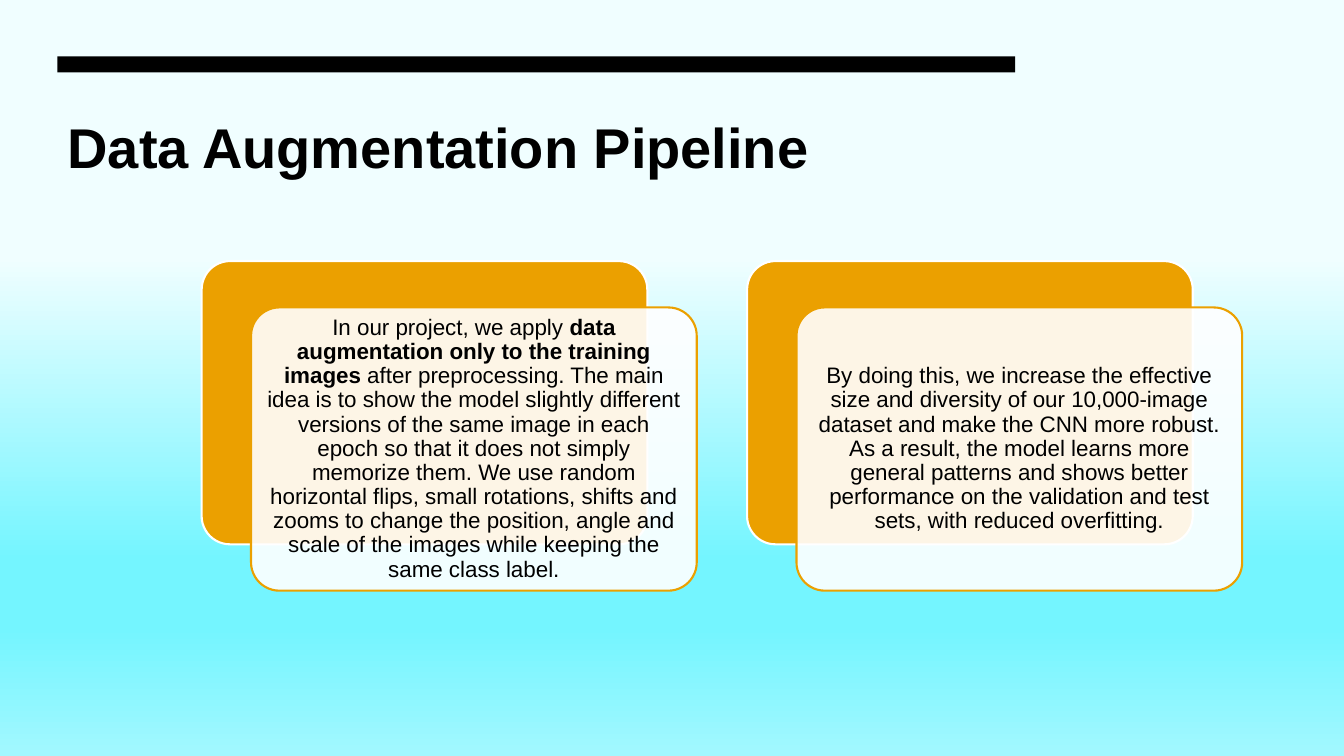
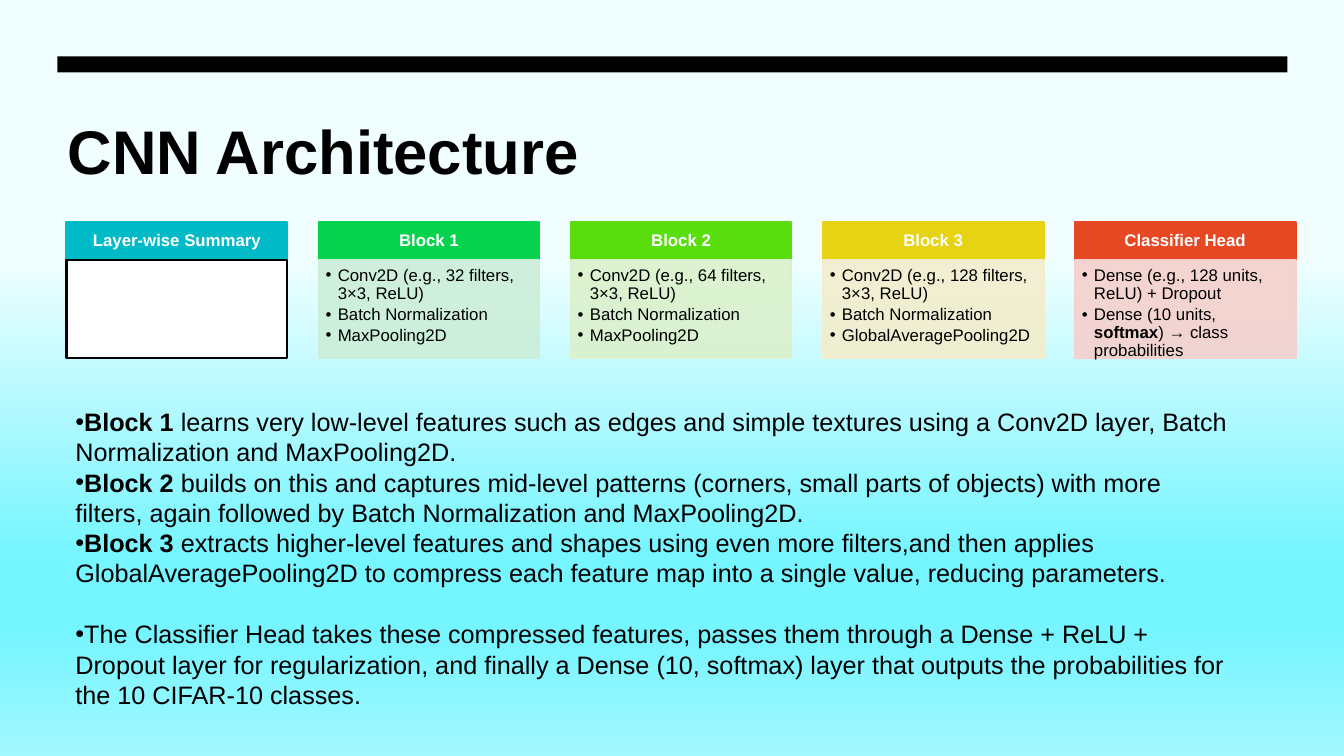
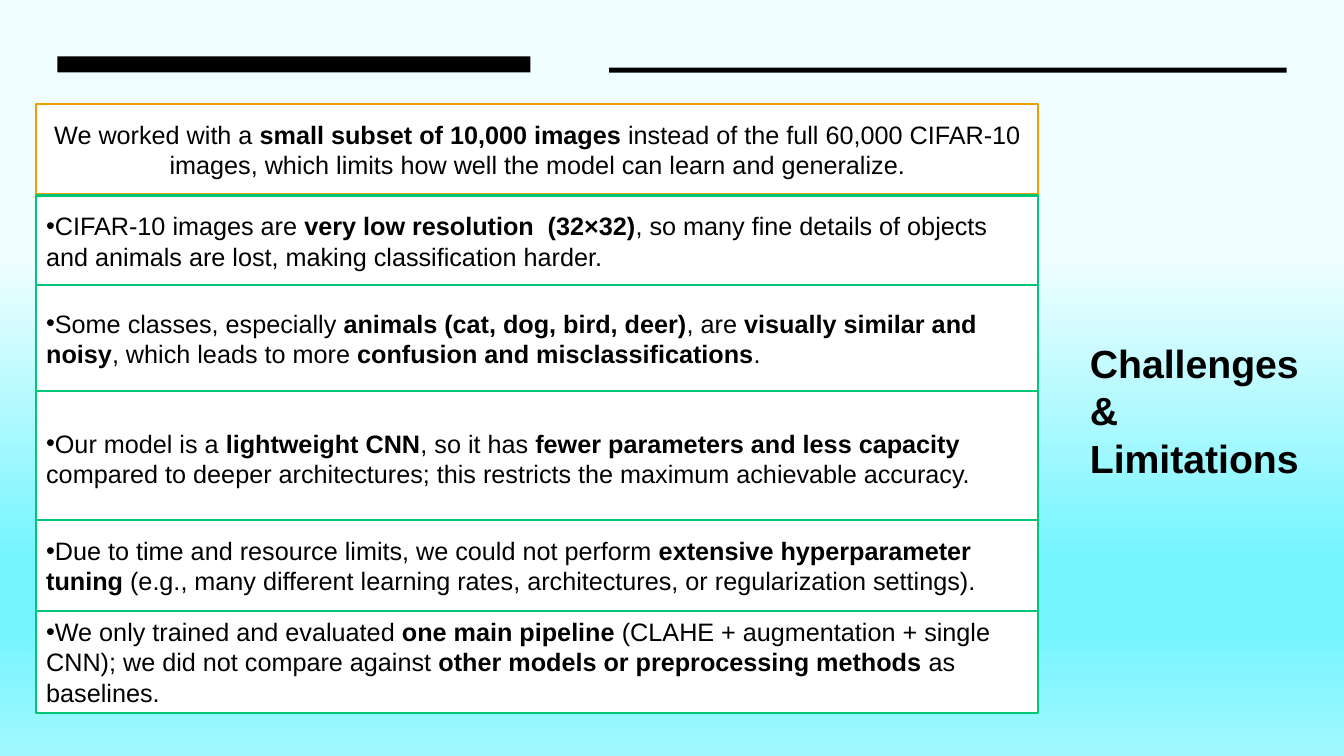
from lxml.etree import SubElement
from pptx import Presentation
from pptx.dml.color import RGBColor
from pptx.enum.shapes import MSO_SHAPE as Shape
from pptx.enum.text import MSO_ANCHOR as Anchor, MSO_AUTO_SIZE as AutoSize, PP_ALIGN as Align
from pptx.oxml.ns import qn
from pptx.util import Inches, Pt

BLACK = RGBColor(0x00, 0x00, 0x00)
WHITE = RGBColor(0xFF, 0xFF, 0xFF)
ORANGE = RGBColor(0xEB, 0xA0, 0x00)
GREEN = RGBColor(0x00, 0xC7, 0x77)
CYAN = RGBColor(0x00, 0xBA, 0xC8)
EMERALD = RGBColor(0x06, 0xD3, 0x4D)
LIME = RGBColor(0x59, 0xDD, 0x0C)
YELLOW = RGBColor(0xE6, 0xD3, 0x13)
RED = RGBColor(0xE6, 0x48, 0x23)
PALE_EMERALD = RGBColor(0xCC, 0xEE, 0xD9)
PALE_LIME = RGBColor(0xDB, 0xF1, 0xCC)
PALE_YELLOW = RGBColor(0xF3, 0xED, 0xCD)
PALE_RED = RGBColor(0xF5, 0xD0, 0xCD)
BACKGROUND_STOPS = [
    (34, RGBColor(0xF0, 0xFE, 0xFF)),
    (74, RGBColor(0x74, 0xF5, 0xFF)),
    (83, RGBColor(0x74, 0xF5, 0xFF)),
    (100, RGBColor(0xA2, 0xF8, 0xFF)),
]
FONT = "Arial"


def write_text(shape, texts, size=18, color=BLACK, bold=False, align=Align.LEFT,
               anchor=Anchor.MIDDLE, margins=(0.1, 0.05, 0.1, 0.05), spacing=1.0,
               after=0, bullet=False, indent=0):
    frame = shape.text_frame
    frame.word_wrap = True
    frame.auto_size = AutoSize.NONE
    frame.vertical_anchor = anchor
    frame.margin_left, frame.margin_top, frame.margin_right, frame.margin_bottom = map(Inches, margins)
    for index, text in enumerate(texts):
        paragraph = frame.add_paragraph() if index else frame.paragraphs[0]
        paragraph.alignment = align
        paragraph.line_spacing = spacing
        paragraph.space_after = Pt(after)
        for part, words in enumerate(text.split("**")):
            if words:
                run = paragraph.add_run()
                run.text = words
                run.font.name = FONT
                run.font.size = Pt(size)
                run.font.bold = bold or part % 2 == 1
                run.font.color.rgb = color
        if bullet:
            properties = paragraph._p.get_or_add_pPr()
            properties.set("marL", str(Inches(indent)))
            properties.set("indent", str(-Inches(indent)))
            SubElement(properties, qn("a:buFont"), typeface=FONT)
            SubElement(properties, qn("a:buChar"), char="•")


def add_box(slide, left, top, width, height, fill, line=None, kind=Shape.RECTANGLE, opacity=100):
    shape = slide.shapes.add_shape(kind, Inches(left), Inches(top), Inches(width), Inches(height))
    shape.shadow.inherit = False
    shape.fill.solid()
    shape.fill.fore_color.rgb = fill
    if opacity < 100:
        color = shape._element.spPr.find(qn("a:solidFill"))[0]
        SubElement(color, qn("a:alpha"), val=str(opacity * 1000))
    if line is None:
        shape.line.fill.background()
    else:
        shape.line.color.rgb = line
        shape.line.width = Pt(1.5)
    if kind == Shape.ROUNDED_RECTANGLE:
        shape.adjustments[0] = 0.1
    return shape


presentation = Presentation()
presentation.slide_width = Inches(13.33)
presentation.slide_height = Inches(7.5)

background_fill = presentation.slide_master.background.fill
background_fill.gradient()
background_fill.gradient_angle = 270
stop_list = background_fill.gradient_stops[0]._gs.getparent()
for stop in list(stop_list):
    stop_list.remove(stop)
for position, color in BACKGROUND_STOPS:
    stop = SubElement(stop_list, qn("a:gs"), pos=str(position * 1000))
    SubElement(stop, qn("a:srgbClr"), val=str(color))

slide_frames = [
    ("Data Augmentation Pipeline", 40, (0.57, 1.07, 9.5, 1.6), [(0.57, 0.56, 9.5, 0.16)]),
    ("CNN Architecture", 44, (0.57, 1.07, 12.2, 1.1), [(0.57, 0.56, 12.2, 0.16)]),
    ("Challenges & Limitations", 28, (10.71, 3.32, 2.59, 2),
     [(0.57, 0.56, 4.69, 0.16), (6.04, 0.67, 6.72, 0.05)]),
]
slides = []
for title_text, title_size, title_area, bars in slide_frames:
    slide = presentation.slides.add_slide(presentation.slide_layouts[5])
    title = slide.shapes.title
    title.left, title.top, title.width, title.height = map(Inches, title_area)
    write_text(title, [title_text], size=title_size, bold=True, anchor=Anchor.TOP)
    for bar in bars:
        add_box(slide, *bar, BLACK)
    slides.append(slide)
augmentation_slide, architecture_slide, challenges_slide = slides

augmentation_notes = [
    "In our project, we apply **data augmentation only to the training images** after preprocessing. "
    "The main idea is to show the model slightly different versions of the same image in each epoch "
    "so that it does not simply memorize them. We use random horizontal flips, small rotations, "
    "shifts and zooms to change the position, angle and scale of the images while keeping the same "
    "class label.",
    "By doing this, we increase the effective size and diversity of our 10,000-image dataset and make "
    "the CNN more robust. As a result, the model learns more general patterns and shows better "
    "performance on the validation and test sets, with reduced overfitting.",
]
for index, note in enumerate(augmentation_notes):
    left = 2 + 5.41 * index
    add_box(augmentation_slide, left, 2.59, 4.42, 2.81, ORANGE, WHITE, Shape.ROUNDED_RECTANGLE)
    card = add_box(augmentation_slide, left + 0.49, 3.05, 4.42, 2.81, WHITE, ORANGE,
                   Shape.ROUNDED_RECTANGLE, opacity=90)
    write_text(card, [note], size=16, align=Align.CENTER, margins=(0.07,) * 4, spacing=0.9)

layer_cards = [
    ("Layer-wise Summary", CYAN, WHITE, []),
    ("Block 1", EMERALD, PALE_EMERALD,
     ["Conv2D (e.g., 32 filters, 3×3, ReLU)", "Batch Normalization", "MaxPooling2D"]),
    ("Block 2", LIME, PALE_LIME,
     ["Conv2D (e.g., 64 filters, 3×3, ReLU)", "Batch Normalization", "MaxPooling2D"]),
    ("Block 3", YELLOW, PALE_YELLOW,
     ["Conv2D (e.g., 128 filters, 3×3, ReLU)", "Batch Normalization", "GlobalAveragePooling2D"]),
    ("Classifier Head", RED, PALE_RED,
     ["Dense (e.g., 128 units, ReLU) + Dropout",
      "Dense (10 units, **softmax**) → class probabilities"]),
]
for index, (heading, strong, pale, layers) in enumerate(layer_cards):
    left = 0.66 + 2.5 * index
    header = add_box(architecture_slide, left, 2.2, 2.19, 0.38, strong, strong)
    write_text(header, [heading], size=12, color=WHITE, bold=True, align=Align.CENTER, spacing=0.9)
    body = add_box(architecture_slide, left, 2.58, 2.19, 0.97, pale, pale if layers else BLACK,
                   opacity=90 if layers else 100)
    if layers:
        write_text(body, layers, size=12, anchor=Anchor.TOP, margins=(0.07, 0.07, 0.09, 0.1),
                   spacing=0.9, after=2, bullet=True, indent=0.12)

explanation = architecture_slide.shapes.add_textbox(Inches(0.65), Inches(3.97), Inches(11.67), Inches(3.13))
write_text(explanation, [
    "**Block 1 **learns very low-level features such as edges and simple textures using a Conv2D "
    "layer, Batch Normalization and MaxPooling2D.",
    "**Block 2 **builds on this and captures mid-level patterns (corners, small parts of objects) "
    "with more filters, again followed by Batch Normalization and MaxPooling2D.",
    "**Block 3 **extracts higher-level features and shapes using even more filters,and then applies "
    "GlobalAveragePooling2D to compress each feature map into a single value, reducing parameters.",
    "The Classifier Head takes these compressed features, passes them through a Dense + ReLU + "
    "Dropout layer for regularization, and finally a Dense (10, softmax) layer that outputs the "
    "probabilities for the 10 CIFAR-10 classes.",
], bullet=True)
explanation.text_frame.paragraphs[-1].space_before = Pt(22)

challenges = [
    (1.03, 0.9, "We worked with a **small subset of 10,000 images** instead of the full 60,000 "
     "CIFAR-10 images, which limits how well the model can learn and generalize."),
    (1.94, 0.9, "CIFAR-10 images are **very low resolution  (32×32)**, so many fine details of "
     "objects and animals are lost, making classification harder."),
    (2.83, 1.05, "Some classes, especially **animals (cat, dog, bird, deer)**, are **visually "
     "similar and noisy**, which leads to more **confusion and misclassifications**."),
    (3.88, 1.33, "Our model is a **lightweight CNN**, so it has **fewer parameters and less "
     "capacity** compared to deeper architectures; this restricts the maximum achievable accuracy."),
    (5.16, 0.9, "Due to time and resource limits, we could not perform **extensive hyperparameter "
     "tuning** (e.g., many different learning rates, architectures, or regularization settings)."),
    (6.06, 1.01, "We only trained and evaluated **one main pipeline** (CLAHE + augmentation + single "
     "CNN); we did not compare against **other models or preprocessing methods** as baselines."),
]
for index, (top, height, challenge) in enumerate(challenges):
    is_first = index == 0
    row = add_box(challenges_slide, 0.36, top, 9.94, height, WHITE, ORANGE if is_first else GREEN)
    write_text(row, [challenge], align=Align.CENTER if is_first else Align.LEFT, bullet=not is_first)

presentation.save("out.pptx")
